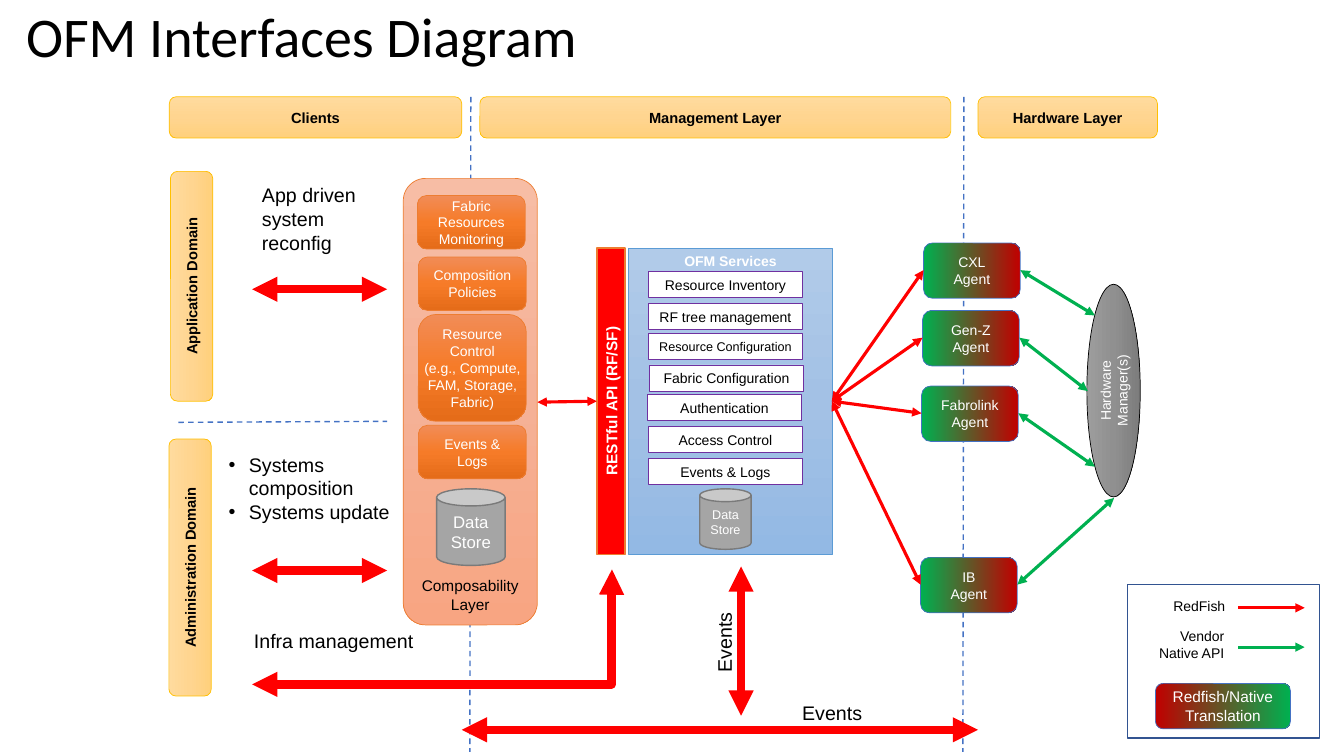
import copy

from lxml import etree
from pptx import Presentation
from pptx import util as u
from pptx.dml.color import RGBColor
from pptx.enum import dml, shapes, text
from pptx.oxml.ns import qn

BLACK = RGBColor(0x00, 0x00, 0x00)
WHITE = RGBColor(0xFF, 0xFF, 0xFF)
RED = RGBColor(0xFF, 0x00, 0x00)
GREEN = RGBColor(0x00, 0xB0, 0x50)
DARK_RED = RGBColor(0xC0, 0x00, 0x00)
BLUE = RGBColor(0x44, 0x72, 0xC4)
SERVICE_BLUE = RGBColor(0x5B, 0x9B, 0xD5)
LEGEND_BLUE = RGBColor(0x32, 0x54, 0x91)
PURPLE = RGBColor(0x70, 0x30, 0xA0)
ORANGE = RGBColor(0xED, 0x7D, 0x31)
GOLD = RGBColor(0xFF, 0xC0, 0x00)
GRAY = RGBColor(0xA5, 0xA5, 0xA5)
DARK_GRAY = RGBColor(0x7A, 0x7A, 0x7A)
GOLD_FADE = [RGBColor(0xFF, 0xDB, 0x9E), RGBColor(0xFF, 0xD5, 0x90), RGBColor(0xFF, 0xD0, 0x7C)]
ORANGE_FADE = [RGBColor(0xF1, 0x8C, 0x57), RGBColor(0xF6, 0x7B, 0x28), RGBColor(0xE5, 0x6C, 0x19)]
PEACH_FADE = [RGBColor(0xF7, 0xBD, 0xA5), RGBColor(0xF5, 0xB1, 0x96), RGBColor(0xF8, 0xA5, 0x82)]
BLUE_FADE = [RGBColor(0xB1, 0xCB, 0xE9), RGBColor(0xA3, 0xC1, 0xE5), RGBColor(0x93, 0xB9, 0xE4)]
GRAY_FADE = [RGBColor(0x9D, 0x9D, 0x9D), RGBColor(0x90, 0x90, 0x90), RGBColor(0x7C, 0x7C, 0x7C)]

RECT = shapes.MSO_SHAPE.RECTANGLE
ROUND = shapes.MSO_SHAPE.ROUNDED_RECTANGLE
OVAL = shapes.MSO_SHAPE.OVAL
CAN = shapes.MSO_SHAPE.CAN
TOP, MIDDLE, BOTTOM = text.MSO_ANCHOR.TOP, text.MSO_ANCHOR.MIDDLE, text.MSO_ANCHOR.BOTTOM
LEFT, CENTER, RIGHT = text.PP_ALIGN.LEFT, text.PP_ALIGN.CENTER, text.PP_ALIGN.RIGHT

presentation = Presentation()
presentation.slide_width = u.Inches(13.33)
presentation.slide_height = u.Inches(7.5)
slide = presentation.slides.add_slide(presentation.slide_layouts[6])


def add_block(kind, box, words, size=10, color=WHITE, fill=None, line=None, weight=0.5,
              bold=False, anchor=MIDDLE, align=CENTER, rotation=0, angle=270, font="Arial"):
    """Add a shape, or a text box when kind is None; a list as fill is a gradient."""
    place = [u.Inches(length) for length in box]
    if kind is None:
        shape = slide.shapes.add_textbox(*place)
    else:
        shape = slide.shapes.add_shape(kind, *place)
        shape.shadow.inherit = False
        shape.line.color.rgb = line
        shape.line.width = u.Pt(weight)
        if fill is None:
            shape.fill.background()
        elif isinstance(fill, list):
            shape.fill.gradient()
            shape.fill.gradient_angle = angle
            stops = shape._element.spPr.find(".//" + qn("a:gsLst"))
            if len(fill) == 3:
                stops.insert(1, copy.deepcopy(stops[0]))
            for index, (stop, tint) in enumerate(zip(shape.fill.gradient_stops, fill)):
                stop.color.rgb = tint
                stop.position = index / (len(fill) - 1)
        else:
            shape.fill.solid()
            shape.fill.fore_color.rgb = fill
    shape.rotation = rotation
    frame = shape.text_frame
    frame.word_wrap = True
    frame.vertical_anchor = anchor
    frame.text = words
    for paragraph in frame.paragraphs:
        paragraph.alignment = align
        for run in paragraph.runs:
            run.font.name = font
            run.font.size = u.Pt(size)
            run.font.bold = bold
            run.font.color.rgb = color
    return shape


def add_line(start, end, color, weight, ends=("headEnd", "tailEnd"), kind=shapes.MSO_CONNECTOR.STRAIGHT):
    """Add a connector with triangle heads; without heads it is dashed."""
    connector = slide.shapes.add_connector(kind, *[u.Inches(length) for length in start + end])
    connector.line.color.rgb = color
    connector.line.width = u.Pt(weight)
    if not ends:
        connector.line.dash_style = dml.MSO_LINE.DASH
    outline = connector._element.spPr.find(qn("a:ln"))
    for name in ends:
        etree.SubElement(outline, qn("a:" + name), type="triangle")
    etree.SubElement(connector._element.spPr, qn("a:effectLst"))
    return connector


# Title
add_block(None, (0.16, 0.04, 11.5, 1.45), "OFM Interfaces Diagram", 40, BLACK,
          anchor=TOP, align=LEFT, font="Calibri").text_frame.paragraphs[0].line_spacing = 0.9

# Dashed borders between layers and domains
for start, end in [((9.56, 0.96), (9.55, 7.46)), ((4.67, 0.96), (4.66, 7.46)), ((1.77, 4.19), (3.84, 4.18))]:
    add_line(start, end, BLUE, 1, ends=())

# Layer and domain headings
for box, name, rotation in [
    ((1.68, 0.96, 2.9, 0.41), "Clients", 0),
    ((4.76, 0.96, 4.67, 0.41), "Management Layer", 0),
    ((9.7, 0.96, 1.78, 0.41), "Hardware Layer", 0),
    ((0.76, 2.63, 2.28, 0.42), "Application Domain", 270),
    ((0.61, 5.42, 2.55, 0.42), "Administration Domain", 270),
]:
    add_block(ROUND, box, name, 10.5, BLACK, GOLD_FADE, GOLD, bold=True, rotation=rotation)

# Composability layer
add_block(ROUND, (4, 1.77, 1.33, 4.43), "Composability Layer", 11, BLACK, PEACH_FADE, ORANGE, anchor=BOTTOM)
for left, top, height, name in [
    (4.14, 1.94, 0.53, "Fabric Resources\nMonitoring"),
    (4.15, 2.55, 0.53, "Composition\nPolicies"),
    (4.15, 3.12, 1.06, "Resource\nControl\n(e.g., Compute, FAM, Storage, Fabric)"),
    (4.15, 4.22, 0.53, "Events & Logs"),
]:
    block = add_block(ROUND, (left, top, 1.07, height), name, fill=ORANGE_FADE, line=ORANGE)
    if height > 1:
        block.text_frame.margin_left = block.text_frame.margin_right = 0
        block.text_frame.margin_top = block.text_frame.margin_bottom = 0
add_block(CAN, (4.33, 4.85, 0.68, 0.76), "Data Store", 12, fill=GRAY, line=DARK_GRAY, weight=1)

# OFM services and their API
add_block(RECT, (6.23, 2.46, 2.03, 3.04), "OFM Services", fill=BLUE_FADE, line=SERVICE_BLUE, bold=True, anchor=TOP)
add_block(RECT, (4.54, 3.84, 3.04, 0.28), "RESTful API (RF/SF)", 11, fill=RED, line=ORANGE,
          weight=1, bold=True, anchor=TOP, rotation=270)
for left, top, name, size in [
    (6.43, 2.69, "Resource Inventory", 10),
    (6.43, 3.01, "RF tree management", 10),
    (6.43, 3.31, "Resource Configuration", 9),
    (6.44, 3.62, "Fabric Configuration", 10),
    (6.42, 3.91, "Authentication", 10),
    (6.43, 4.23, "Access Control", 10),
    (6.43, 4.55, "Events & Logs", 10),
]:
    add_block(RECT, (left, top, 1.53, 0.26), name, size, BLACK, WHITE, PURPLE, anchor=TOP)
add_block(CAN, (6.94, 4.85, 0.51, 0.6), "Data Store", 9, fill=GRAY, line=DARK_GRAY, weight=1)
add_line((5.33, 3.99), (5.92, 3.98), RED, 2.25)

# Agents, linked to the services and to the hardware managers
add_block(OVAL, (9.99, 3.61, 2.11, 0.53), "Hardware\vManager(s)", fill=GRAY_FADE, line=BLACK, rotation=270)
for left, top, name, manager_point in [
    (9.16, 2.41, "CXL", (10.86, 3.13)),
    (9.15, 3.08, "Gen-Z", (10.79, 3.88)),
    (9.14, 3.83, "Fabrolink", (10.86, 4.63)),
    (9.13, 5.53, "IB", (11.05, 4.94)),
]:
    add_block(ROUND, (left, top, 0.96, 0.55), name + "\nAgent", fill=[GREEN, DARK_RED], line=BLUE, angle=0)
    center = top + 0.27
    add_line((8.25, 3.98), (left, center), RED, 2.25)
    add_line((left + 0.96, center), manager_point, GREEN, 2.25)

# Notes on the interfaces
for box, words, align, rotation in [
    ((2.5, 1.77, 1.4, 0.81), "App driven system reconfig", LEFT, 0),
    ((2.42, 6.19, 2.24, 0.34), "Infra management", LEFT, 0),
    ((7.64, 6.9, 1.01, 0.34), "Events", RIGHT, 0),
    ((6.68, 6.31, 1.01, 0.34), "Events", RIGHT, 270),
]:
    add_block(None, box, words, 14, BLACK, anchor=TOP, align=align, rotation=rotation)
systems = add_block(None, (2.17, 4.44, 2.1, 0.81), "Systems composition\nSystems update", 14, BLACK,
                    anchor=TOP, align=LEFT)
for paragraph in systems.text_frame.paragraphs:
    properties = paragraph._p.get_or_add_pPr()
    properties.set("marL", str(u.Inches(0.2)))
    properties.set("indent", str(u.Inches(-0.2)))
    etree.SubElement(properties, qn("a:buFont"), typeface="Arial")
    etree.SubElement(properties, qn("a:buChar"), char="•")

# Thick interface arrows
for start, end in [((2.5, 2.87), (3.84, 2.87)), ((2.5, 5.66), (3.84, 5.66)),
                   ((9.7, 7.24), (4.58, 7.24)), ((7.35, 7.1), (7.35, 5.62))]:
    add_line(start, end, RED, 6)
infra_arrow = add_line((2.5, 6.79), (6.07, 5.65), RED, 6, kind=shapes.MSO_CONNECTOR.ELBOW)
geometry = infra_arrow._element.spPr.find(qn("a:prstGeom"))
guides = geometry.find(qn("a:avLst"))
etree.SubElement(guides, qn("a:gd"), name="adj1", fmla="val 99900")

# Legend
add_block(RECT, (11.18, 5.8, 1.91, 1.52), "", line=LEGEND_BLUE, weight=1)
for box, name, middle, color in [
    ((11.47, 5.88, 0.78, 0.28), "RedFish", 6.03, RED),
    ((11.23, 6.18, 1.01, 0.45), "Vendor Native API", 6.42, GREEN),
]:
    add_block(None, box, name, 10, BLACK, anchor=TOP, align=RIGHT)
    add_line((12.28, middle), (12.94, middle), color, 2.25, ends=("tailEnd",))
add_block(ROUND, (11.46, 6.78, 1.34, 0.45), "Redfish/Native\nTranslation", 11,
          fill=[DARK_RED, GREEN], line=BLUE, angle=0)

presentation.save("out.pptx")
